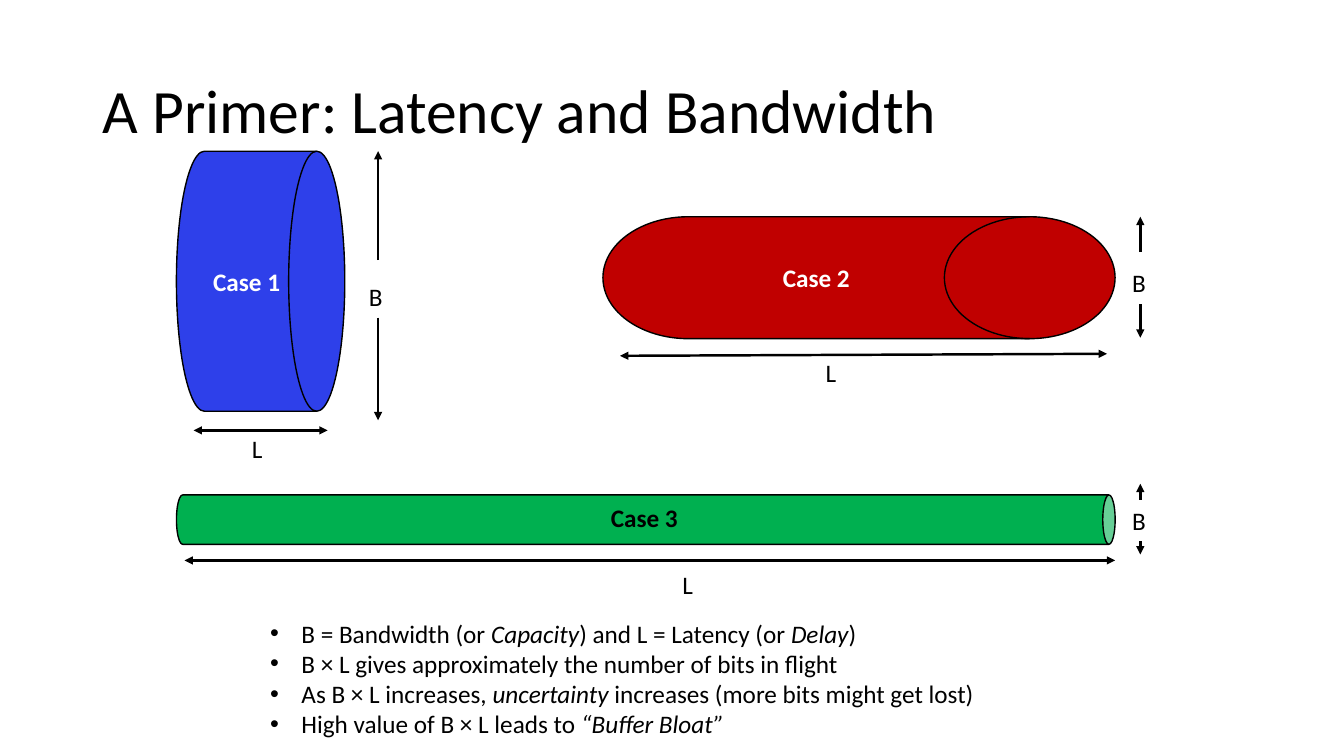
from lxml.etree import SubElement
from pptx import Presentation
from pptx.dml.color import RGBColor
from pptx.enum.shapes import MSO_CONNECTOR, MSO_SHAPE
from pptx.enum.text import MSO_ANCHOR, MSO_AUTO_SIZE, PP_ALIGN
from pptx.oxml.ns import qn
from pptx.util import Inches, Pt

TITLE = "A Primer: Latency and Bandwidth"
POINTS = [
    [("B = Bandwidth (or ", False), ("Capacity", True),
     (") and L = Latency (or ", False), ("Delay", True), (")", False)],
    [("B × L gives approximately the number of bits in flight", False)],
    [("As B × L increases, ", False), ("uncertainty", True),
     (" increases (more bits might get lost)", False)],
    [("High value of B × L leads to ", False), ("“Buffer Bloat”", True)],
]
DRUM = MSO_SHAPE.FLOWCHART_DIRECT_ACCESS_STORAGE
PIPES = [
    (DRUM, (1.75, 1.5, 1.67, 2.58), 0, "2E40EA", "Case 1"),
    (MSO_SHAPE.CAN, (6.16, 0.5, 0.49, 9.31), 90, "00B050", ""),
    (DRUM, (5.98, 2.15, 5.08, 1.21), 0, "C00000", "Case 2"),
]
LABELS = [
    ("Case 3", 5.96, 4.93, 1.02, True),
    ("B", 3.56, 2.74, 0.37, False),
    ("L", 2.4, 4.25, 0.34, False),
    ("L", 8.09, 3.5, 0.34, False),
    ("B", 11.13, 2.6, 0.37, False),
    ("L", 6.67, 5.6, 0.34, False),
    ("B", 11.13, 4.96, 0.37, False),
]
BANDWIDTH_ARROWS = [
    (3.75, 2.58, 1.5), (3.75, 3.15, 4.17),
    (11.31, 2.5, 2.15), (11.31, 3.02, 3.35),
    (11.31, 4.96, 4.8), (11.31, 5.37, 5.5),
]
LATENCY_ARROWS = [
    (1.92, 4.27, 3.25, 4.27),
    (6.15, 3.53, 10.98, 3.51),
    (1.83, 5.56, 11.06, 5.56),
]


def color(value):
    return RGBColor.from_string(value)


def assign(target, values):
    for name, value in values.items():
        setattr(target, name, value)


def place(shape, *lengths):
    assign(shape, dict(zip(("left", "top", "width", "height"), map(Inches, lengths))))


def write(para, text, size=18, ink="000000", **style):
    span = para.add_run()
    span.text = text
    assign(span.font, {"name": "Calibri", "size": Pt(size), **style})
    span.font.color.rgb = color(ink)


def outline(shape, width):
    shape.line.color.rgb = color("000000")
    shape.line.width = Pt(width)


def add_pipe(page, kind, area, turn, fill, text):
    pipe = page.shapes.add_shape(kind, *map(Inches, area))
    pipe.rotation = turn
    pipe.shadow.inherit = False
    pipe.fill.solid()
    pipe.fill.fore_color.rgb = color(fill)
    outline(pipe, 1)
    if text:
        assign(pipe.text_frame, {"margin_left": 0, "margin_right": 0,
                                 "vertical_anchor": MSO_ANCHOR.MIDDLE})
        para = pipe.text_frame.paragraphs[0]
        para.alignment = PP_ALIGN.CENTER
        write(para, text, ink="FFFFFF", bold=True)


def add_label(page, text, left, top, width, bold):
    box = page.shapes.add_textbox(*map(Inches, (left, top, width, 0.4)))
    assign(box.text_frame, {"word_wrap": False,
                            "auto_size": MSO_AUTO_SIZE.SHAPE_TO_FIT_TEXT})
    write(box.text_frame.paragraphs[0], text, bold=bold)


def add_arrow(page, ends, tips):
    arrow = page.shapes.add_connector(MSO_CONNECTOR.STRAIGHT, *map(Inches, ends))
    outline(arrow, 1.75)
    for tip in tips:
        SubElement(arrow.line._get_or_add_ln(), qn(tip), type="triangle")
    SubElement(arrow._element.spPr, qn("a:effectLst"))


def add_points(body):
    place(body, 2.58, 6.08, 8.72, 1.62)
    frame = body.text_frame
    assign(frame, {"auto_size": MSO_AUTO_SIZE.NONE, "word_wrap": True,
                   "vertical_anchor": MSO_ANCHOR.TOP})
    for index, spans in enumerate(POINTS):
        para = frame.add_paragraph() if index else frame.paragraphs[0]
        layout = para._p.get_or_add_pPr()
        layout.set("marL", str(Inches(0.31)))
        layout.set("indent", str(-Inches(0.31)))
        SubElement(layout, qn("a:buFont"), typeface="Arial")
        SubElement(layout, qn("a:buChar"), char="•")
        assign(para, {"space_before": Pt(0), "line_spacing": 1.0,
                      "alignment": PP_ALIGN.LEFT})
        for text, italic in spans:
            write(para, text, italic=italic)


def main():
    deck = Presentation()
    assign(deck, {"slide_width": Inches(13.33), "slide_height": Inches(7.5)})
    page = deck.slides.add_slide(deck.slide_layouts[1])
    title, body = page.placeholders
    place(title, 0.92, 0.4, 11.5, 1.45)
    assign(title.text_frame, {"vertical_anchor": MSO_ANCHOR.MIDDLE,
                              "auto_size": MSO_AUTO_SIZE.NONE})
    heading = title.text_frame.paragraphs[0]
    assign(heading, {"alignment": PP_ALIGN.LEFT, "line_spacing": 0.9})
    write(heading, TITLE, size=44)
    add_points(body)
    for pipe in PIPES:
        add_pipe(page, *pipe)
    for label in LABELS:
        add_label(page, *label)
    for x, start, end in BANDWIDTH_ARROWS:
        add_arrow(page, (x, start, x, end), ["a:tailEnd"])
    for ends in LATENCY_ARROWS:
        add_arrow(page, ends, ["a:headEnd", "a:tailEnd"])
    deck.save("out.pptx")


if __name__ == "__main__":
    main()
